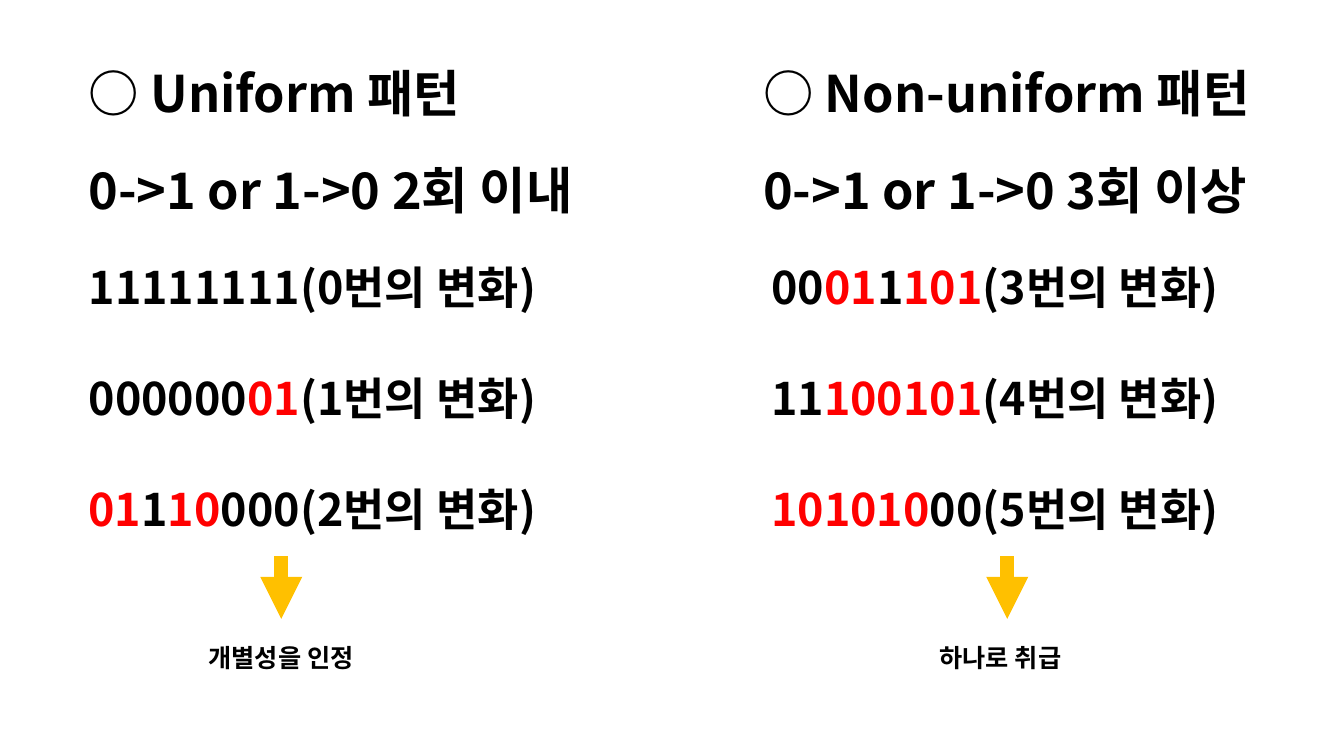
from dataclasses import dataclass
from pptx import Presentation, util as u
from pptx.dml import color
from pptx.enum import shapes, text
from pptx.oxml import ns, xmlchemy as xml

FACE = "Noto Sans CJK KR"
BLACK, RED, GOLD = "000000", "FF0000", "FFC000"
FRAME = {"word_wrap": True, "auto_size": text.MSO_AUTO_SIZE.SHAPE_TO_FIT_TEXT}
PARA = {"alignment": text.PP_ALIGN.JUSTIFY, "line_spacing": 1.6}
TOP, STEP = 2.21, 1.1


@dataclass
class Code:
    text: str
    width: float


@dataclass
class Column:
    left: float
    head: list[str]
    inset: float
    codes: list[Code]
    arrow: float
    note: str
    start: float


COLUMNS = [
    Column(0.78, ["○ Uniform 패턴", "0->1 or 1->0 2회 이내"], 0.78, [
        Code("11111111(0번의 변화)", 8.21),
        Code("000000|01|(1번의 변화)", 8.21),
        Code("|01|1|10|000(2번의 변화)", 7.76),
    ], 2.79, "개별성을 인정", 1.97),
    Column(7.47, ["○ Non-uniform 패턴", "0->1 or 1->0 3회 이상"], 7.55, [
        Code("00|01|1|101|(3번의 변화)", 7.76),
        Code("11|100101|(4번의 변화)", 8.02),
        Code("|101010|00(5번의 변화)", 8.02),
    ], 9.99, "하나로 취급", 9.22),
]


def apply(item, values: dict) -> None:
    for key, value in values.items():
        setattr(item, key, value)


def paint(tone: str) -> color.RGBColor:
    return color.RGBColor.from_string(tone)


def write(slide, lines: list[str], size: float, left: float, top: float,
          width: float, height: float) -> None:
    box = slide.shapes.add_textbox(*map(u.Inches, (left, top, width, height)))
    frame = box.text_frame
    apply(frame, FRAME)
    for row, line in enumerate(lines):
        para = frame.add_paragraph() if row else frame.paragraphs[0]
        apply(para, PARA)
        for turn, part in enumerate(line.split("|")):
            if not part:
                continue
            run = para.add_run()
            run.text = part
            apply(run.font, {"size": u.Pt(size), "bold": True, "name": FACE})
            run.font.color.rgb = paint(RED if turn % 2 else BLACK)
            east = xml.OxmlElement("a:ea")
            east.set("typeface", FACE)
            run.font._element.find(ns.qn("a:latin")).addnext(east)


def point(slide, x: float, top: float, end: float) -> None:
    arrow = slide.shapes.add_connector(
        shapes.MSO_CONNECTOR.STRAIGHT, *map(u.Inches, (x, top, x, end)))
    arrow.line.color.rgb = paint(GOLD)
    arrow.line.width = u.Pt(10)
    tip = xml.OxmlElement("a:tailEnd")
    tip.set("type", "triangle")
    arrow.line._get_or_add_ln().append(tip)
    arrow._element.spPr.append(xml.OxmlElement("a:effectLst"))


def draw(slide, col: Column) -> None:
    write(slide, col.head, 36, col.left, 0.21, 7.71, 1.9)
    for row, code in enumerate(col.codes):
        write(slide, [code.text], 32, col.inset, TOP + row * STEP, code.width, 0.84)
    write(slide, [col.note], 18, col.start, 6.14, 8.02, 0.52)
    point(slide, col.arrow, 5.52, 6.14)


def main() -> None:
    deck = Presentation()
    apply(deck, {"slide_width": u.Inches(13.33), "slide_height": u.Inches(7.5)})
    slide = deck.slides.add_slide(deck.slide_layouts[6])
    for col in COLUMNS:
        draw(slide, col)
    deck.save("out.pptx")


if __name__ == "__main__":
    main()
